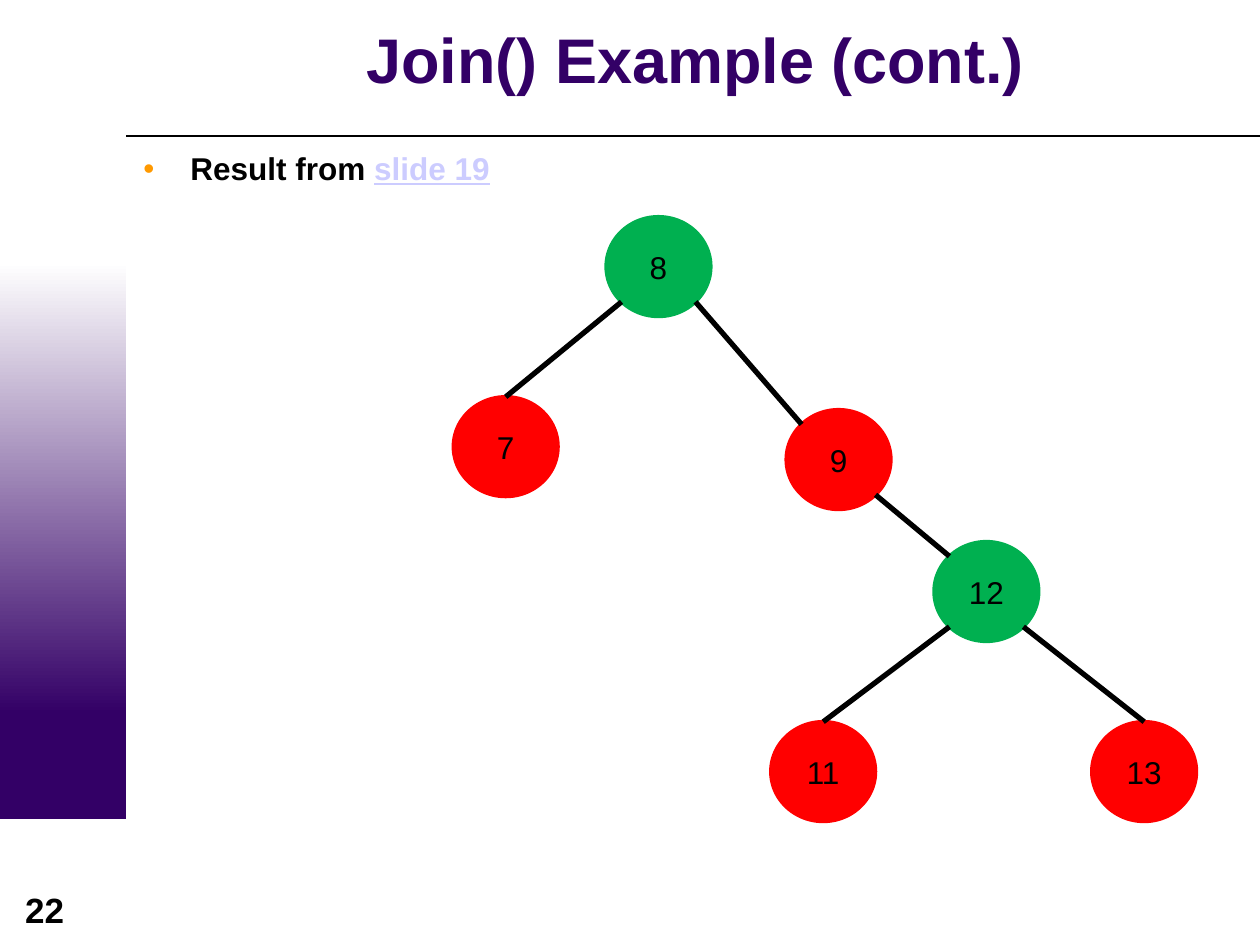
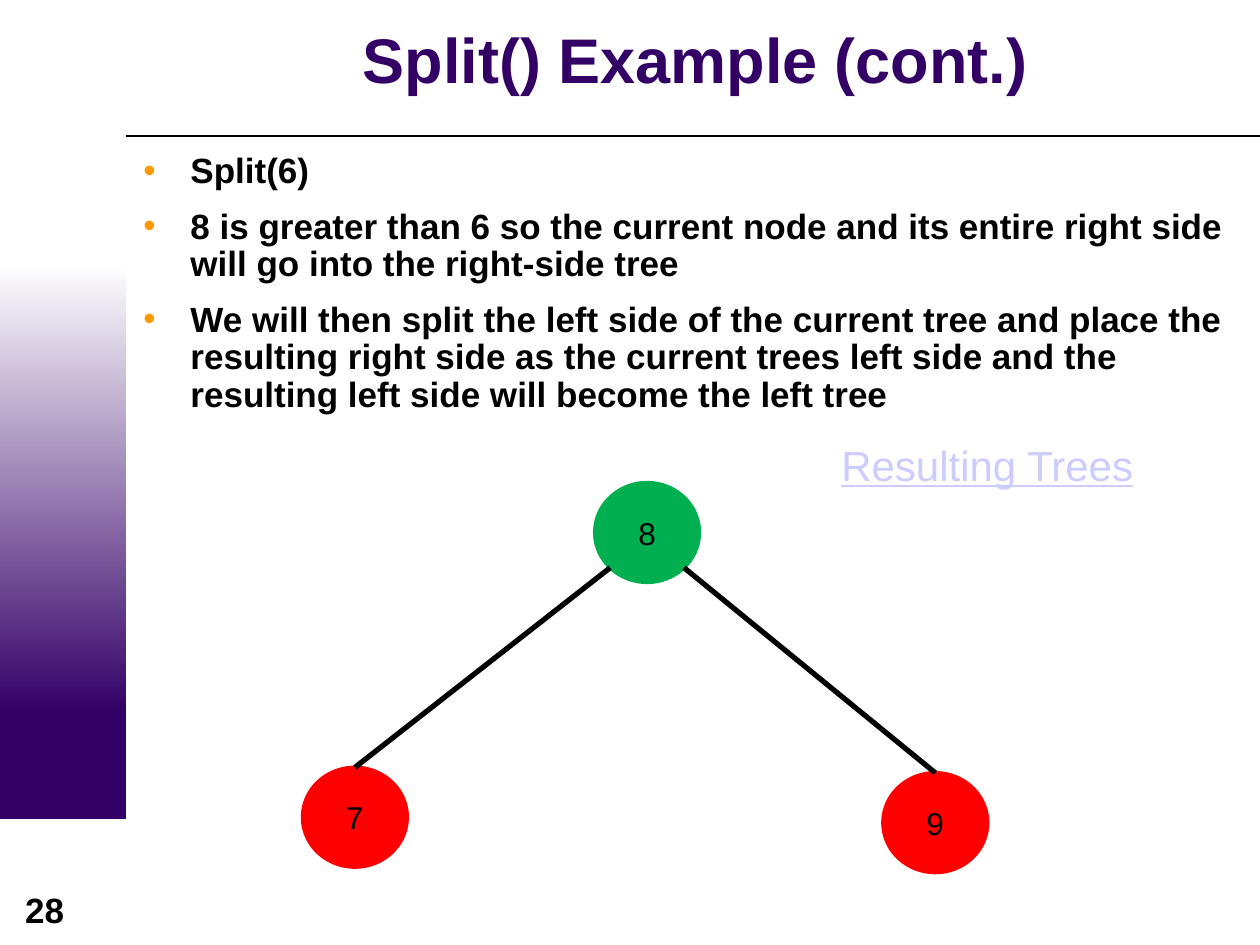
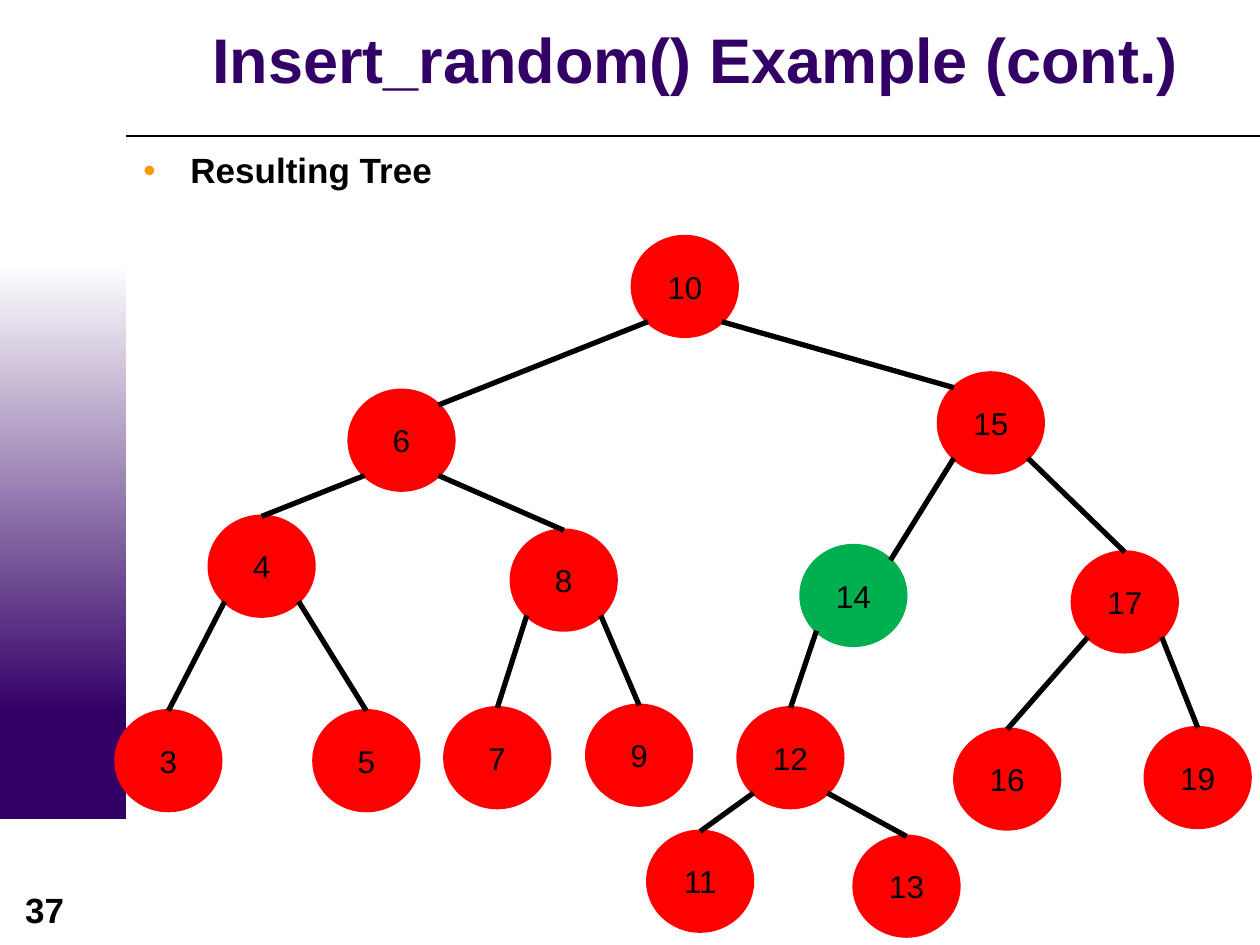
from dataclasses import dataclass
from lxml.etree import SubElement
from pptx import Presentation
from pptx.dml.color import RGBColor
from pptx.enum.shapes import MSO_CONNECTOR, MSO_SHAPE
from pptx.enum.text import MSO_ANCHOR, PP_ALIGN
from pptx.oxml.ns import qn
from pptx.util import Cm, Pt


@dataclass(frozen=True)
class Theme:
    font: str = "Arial"
    purple: str = "330066"
    white: str = "FFFFFF"
    black: str = "000000"
    link: str = "CCCCFF"
    bullet: str = "FF9900"
    red: str = "FF0000"
    green: str = "00B050"
    title_size: int = 36
    caption_size: int = 24
    body_size: int = 20
    small_size: int = 18
    rule_width: float = 0.75
    outline_width: float = 2
    edge_width: float = 3


THEME = Theme()
SLIDE_WIDTH, SLIDE_HEIGHT = 25.4, 19.05
BAND_WIDTH = 2.54
RULE_TOP = 2.74
CONTENT_LEFT = 2.64
CONTENT_WIDTH = SLIDE_WIDTH - CONTENT_LEFT
BODY_TOP = 2.97
INDENT = 0.95
NODE_WIDTH, NODE_HEIGHT = 2.11, 2.01
DIAGONAL = 0.5 ** 0.5

# Nodes: key -> (left, top, parent, side of the child where the edge enters)
SLIDES = [
    {
        "number": "22",
        "title": "Join() Example (cont.)",
        "body_size": THEME.small_size,
        "bullets": [[("Result from ", False), ("slide 19", True)]],
        "green": {8, 12},
        "nodes": {
            8: (12.22, 4.37, None, None),
            7: (9.14, 8.0, 8, "top"),
            9: (15.85, 8.26, 8, "corner"),
            12: (18.83, 10.92, 9, "corner"),
            11: (15.54, 14.55, 12, "top"),
            13: (22.01, 14.55, 12, "top"),
        },
    },
    {
        "number": "28",
        "title": "Split() Example (cont.)",
        "body_size": THEME.body_size,
        "bullets": [
            [("Split(6)", False)],
            [("8 is greater than 6 so the current node and its entire right side "
              "will go into the right-side tree", False)],
            [("We will then split the left side of the current tree and place the "
              "resulting right side as the current trees left side and the "
              "resulting left side will become the left tree", False)],
        ],
        "caption": ("Resulting Trees", 16.71, 8.74, 7.16, 1.27),
        "green": {8},
        "nodes": {
            8: (11.99, 9.73, None, None),
            7: (6.1, 15.47, 8, "top"),
            9: (17.8, 15.58, 8, "top"),
        },
    },
    {
        "number": "37",
        "title": "Insert_random() Example (cont.)",
        "body_size": THEME.body_size,
        "bullets": [[("Resulting Tree", False)]],
        "green": {14},
        "nodes": {
            10: (12.75, 4.77, None, None),
            6: (7.04, 7.87, 10, "corner"),
            15: (18.92, 7.52, 10, "corner"),
            4: (4.22, 10.41, 6, "top"),
            8: (10.31, 10.69, 6, "top"),
            14: (16.15, 11.0, 15, "corner"),
            17: (21.62, 11.13, 15, "top"),
            3: (2.34, 14.33, 4, "top"),
            5: (6.33, 14.33, 4, "top"),
            7: (8.97, 14.27, 8, "top"),
            9: (11.83, 14.22, 8, "top"),
            12: (14.88, 14.27, 14, "top"),
            16: (19.25, 14.7, 17, "top"),
            19: (23.09, 14.67, 17, "top"),
            11: (13.06, 16.76, 12, "top"),
            13: (17.22, 16.86, 12, "top"),
        },
    },
]


def color(value):
    return RGBColor.from_string(value)


def add_run(paragraph, text, size, ink, bold=False, underline=False):
    run = paragraph.add_run()
    run.text = text
    run.font.name = THEME.font
    run.font.size = Pt(size)
    run.font.bold = bold
    run.font.underline = underline
    run.font.color.rgb = color(ink)


def add_text_frame(slide, left, top, width, height):
    box = slide.shapes.add_textbox(Cm(left), Cm(top), Cm(width), Cm(height))
    box.text_frame.word_wrap = True
    return box.text_frame


def add_plain_shape(slide, kind, left, top, width, height):
    shape = slide.shapes.add_shape(kind, Cm(left), Cm(top), Cm(width), Cm(height))
    shape.shadow.inherit = False
    return shape


def add_line(slide, start, end, width):
    line = slide.shapes.add_connector(
        MSO_CONNECTOR.STRAIGHT, *[Cm(value) for value in (*start, *end)])
    line.line.color.rgb = color(THEME.black)
    line.line.width = Pt(width)
    SubElement(line._element.spPr, qn("a:effectLst"))


def add_band(slide):
    base = add_plain_shape(slide, MSO_SHAPE.RECTANGLE, 0, 13.97, BAND_WIDTH, 2.54)
    base.fill.solid()
    base.fill.fore_color.rgb = color(THEME.purple)
    fade = add_plain_shape(slide, MSO_SHAPE.RECTANGLE, 0, 5.29, BAND_WIDTH, 9.1)
    fade.fill.gradient()
    fade.fill.gradient_angle = 270
    for stop, position, ink in zip(
            fade.fill.gradient_stops, (0, 1), (THEME.white, THEME.purple)):
        stop.position = position
        stop.color.rgb = color(ink)
    for shape in (base, fade):
        shape.line.fill.background()


def add_frame(slide, number, title):
    add_band(slide)
    add_line(slide, (BAND_WIDTH, RULE_TOP), (SLIDE_WIDTH, RULE_TOP), THEME.rule_width)
    number_paragraph = add_text_frame(slide, -0.05, 17.78, 1.9, 1.11).paragraphs[0]
    number_paragraph.alignment = PP_ALIGN.CENTER
    add_run(number_paragraph, number, THEME.body_size, THEME.black, bold=True)
    title_frame = add_text_frame(slide, CONTENT_LEFT, 0.08, CONTENT_WIDTH, 2.44)
    title_frame.margin_top = title_frame.margin_bottom = 0
    title_frame.vertical_anchor = MSO_ANCHOR.MIDDLE
    title_paragraph = title_frame.paragraphs[0]
    title_paragraph.alignment = PP_ALIGN.CENTER
    title_paragraph.line_spacing = 0.85
    add_run(title_paragraph, title, THEME.title_size, THEME.purple, bold=True)


def add_bullet_mark(paragraph):
    properties = paragraph._p.get_or_add_pPr()
    properties.set("marL", str(Cm(INDENT)))
    properties.set("indent", str(-Cm(INDENT)))
    bullet_color = SubElement(properties, qn("a:buClr"))
    SubElement(bullet_color, qn("a:srgbClr")).set("val", THEME.bullet)
    SubElement(properties, qn("a:buFont")).set("typeface", THEME.font)
    SubElement(properties, qn("a:buChar")).set("char", "•")


def add_bullets(slide, bullets, size):
    frame = add_text_frame(
        slide, CONTENT_LEFT, BODY_TOP, CONTENT_WIDTH, SLIDE_HEIGHT - BODY_TOP)
    for index, parts in enumerate(bullets):
        paragraph = frame.add_paragraph() if index else frame.paragraphs[0]
        paragraph.line_spacing = 0.9
        paragraph.space_before = paragraph.space_after = Pt(size / 4)
        add_bullet_mark(paragraph)
        for text, linked in parts:
            ink = THEME.link if linked else THEME.black
            add_run(paragraph, text, size, ink, bold=True, underline=linked)


def add_caption(slide, text, left, top, width, height):
    paragraph = add_text_frame(slide, left, top, width, height).paragraphs[0]
    add_run(paragraph, text, THEME.caption_size, THEME.link, underline=True)


def add_node(slide, key, left, top, ink):
    node = add_plain_shape(
        slide, MSO_SHAPE.FLOWCHART_CONNECTOR, left, top, NODE_WIDTH, NODE_HEIGHT)
    node.fill.solid()
    node.fill.fore_color.rgb = color(ink)
    node.line.color.rgb = color(ink)
    node.line.width = Pt(THEME.outline_width)
    node.text_frame.vertical_anchor = MSO_ANCHOR.MIDDLE
    paragraph = node.text_frame.paragraphs[0]
    paragraph.alignment = PP_ALIGN.CENTER
    add_run(paragraph, str(key), THEME.small_size, THEME.black)


def rim_point(node, across, down):
    left, top = node[:2]
    return (left + NODE_WIDTH / 2 * (1 + across),
            top + NODE_HEIGHT / 2 * (1 + down))


def add_edge(slide, parent, child):
    side = DIAGONAL if child[0] > parent[0] else -DIAGONAL
    entry = (0, -1) if child[3] == "top" else (-side, -DIAGONAL)
    add_line(slide, rim_point(parent, side, DIAGONAL),
             rim_point(child, *entry), THEME.edge_width)


def add_tree(slide, nodes, green):
    for key, (left, top, *_) in nodes.items():
        add_node(slide, key, left, top, THEME.green if key in green else THEME.red)
    for child in nodes.values():
        if child[2] is not None:
            add_edge(slide, nodes[child[2]], child)


def main():
    presentation = Presentation()
    presentation.slide_width = Cm(SLIDE_WIDTH)
    presentation.slide_height = Cm(SLIDE_HEIGHT)
    for content in SLIDES:
        slide = presentation.slides.add_slide(presentation.slide_layouts[6])
        add_frame(slide, content["number"], content["title"])
        add_bullets(slide, content["bullets"], content["body_size"])
        add_tree(slide, content["nodes"], content["green"])
        if "caption" in content:
            add_caption(slide, *content["caption"])
    presentation.save("out.pptx")


if __name__ == "__main__":
    main()
